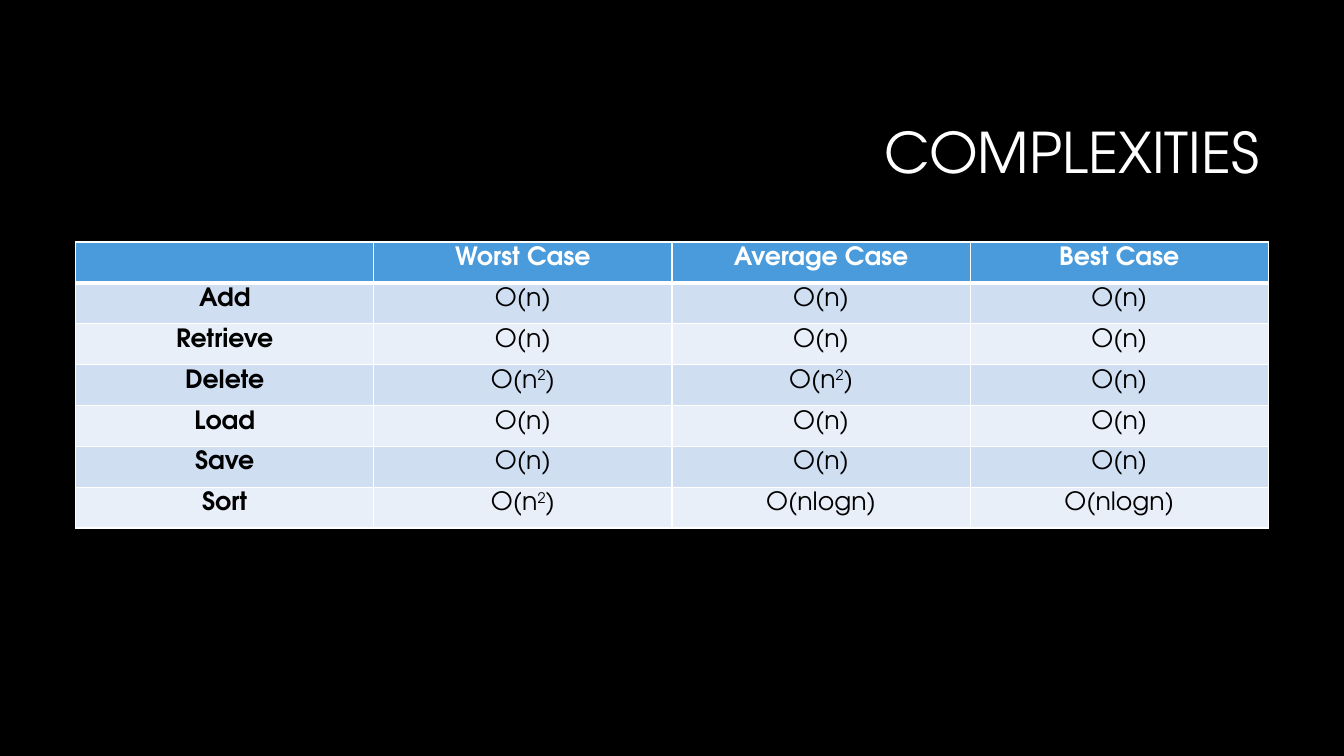
from dataclasses import dataclass

from lxml.etree import SubElement as add_element
from pptx import Presentation
from pptx.dml.color import RGBColor as Color
from pptx.enum.text import MSO_ANCHOR as Anchor, PP_ALIGN as Align
from pptx.oxml.ns import qn
from pptx.util import Inches, Pt


@dataclass(frozen=True)
class Theme:
    font: str = "TeX Gyre Adventor"
    background: str = "000000"
    light_text: str = "FFFFFF"
    dark_text: str = "000000"
    border: str = "FFFFFF"
    header_fill: str = "4A9BDC"
    band_fills: tuple[str, str] = ("D0DEF2", "E9EFF9")
    title_size: int = 40
    table_size: int = 18
    thin_border: int = 1
    thick_border: int = 3


@dataclass(frozen=True)
class Bound:
    base: str
    power: str = ""


@dataclass(frozen=True)
class Operation:
    name: str
    worst: Bound
    average: Bound
    best: Bound


THEME = Theme()
LINEAR = Bound("n")
QUADRATIC = Bound("n", "2")
LOG_LINEAR = Bound("nlogn")
HEADINGS = ("", "Worst Case", "Average Case", "Best Case")
OPERATIONS = (
    Operation("Add", LINEAR, LINEAR, LINEAR),
    Operation("Retrieve", LINEAR, LINEAR, LINEAR),
    Operation("Delete", QUADRATIC, QUADRATIC, LINEAR),
    Operation("Load", LINEAR, LINEAR, LINEAR),
    Operation("Save", LINEAR, LINEAR, LINEAR),
    Operation("Sort", QUADRATIC, LOG_LINEAR, LOG_LINEAR),
)


def add_span(para, text: str, size: int, color: str, bold: bool = False):
    span = para.add_run()
    span.text = text
    formats = {"name": THEME.font, "size": Pt(size), "bold": bold}
    for name, value in formats.items():
        setattr(span.font, name, value)
    span.font.color.rgb = Color.from_string(color)
    return span


def add_title(page, text: str) -> None:
    box = page.shapes.title
    place = {"left": 3.17, "top": 0.84, "width": 9.42, "height": 1.41}
    for name, value in place.items():
        setattr(box, name, Inches(value))
    box.text_frame.vertical_anchor = Anchor.MIDDLE
    para = box.text_frame.paragraphs[0]
    for name, value in {"alignment": Align.RIGHT, "line_spacing": 0.9}.items():
        setattr(para, name, value)
    add_span(para, text, THEME.title_size, THEME.light_text)


def add_borders(cell, top: int, bottom: int) -> None:
    properties = cell._tc.get_or_add_tcPr()
    widths = {"L": THEME.thin_border, "R": THEME.thin_border, "T": top, "B": bottom}
    for side, width in widths.items():
        line = add_element(properties, qn(f"a:ln{side}"), w=str(Pt(width)))
        fill = add_element(line, qn("a:solidFill"))
        add_element(fill, qn("a:srgbClr"), val=THEME.border)


def format_cell(cell, fill: str):
    cell.fill.solid()
    cell.fill.fore_color.rgb = Color.from_string(fill)
    para = cell.text_frame.paragraphs[0]
    para.alignment = Align.CENTER
    return para


def write_label(cell, text: str, fill: str, color: str) -> None:
    para = format_cell(cell, fill)
    if text:
        add_span(para, text, THEME.table_size, color, bold=True)


def write_bound(cell, bound: Bound, fill: str) -> None:
    para = format_cell(cell, fill)
    if not bound.power:
        add_span(para, f"O({bound.base})", THEME.table_size, THEME.dark_text)
        return
    for text in (f"O({bound.base}", bound.power, ")"):
        span = add_span(para, text, THEME.table_size, THEME.dark_text)
        if text == bound.power:
            span.font._element.set("baseline", "30000")


def add_complexity_table(page) -> None:
    table = page.shapes.add_table(
        len(OPERATIONS) + 1, len(HEADINGS),
        Inches(0.75), Inches(2.4), Inches(11.83), Inches(2.84),
    ).table
    for row, line in enumerate(table.rows):
        top = THEME.thick_border if row == 1 else THEME.thin_border
        bottom = THEME.thick_border if row == 0 else THEME.thin_border
        for cell in line.cells:
            add_borders(cell, top, bottom)
    for column, heading in enumerate(HEADINGS):
        write_label(table.cell(0, column), heading, THEME.header_fill, THEME.light_text)
    for row, operation in enumerate(OPERATIONS, start=1):
        fill = THEME.band_fills[(row - 1) % 2]
        write_label(table.cell(row, 0), operation.name, fill, THEME.dark_text)
        bounds = (operation.worst, operation.average, operation.best)
        for column, bound in enumerate(bounds, start=1):
            write_bound(table.cell(row, column), bound, fill)


def main() -> None:
    deck = Presentation()
    deck.slide_width, deck.slide_height = Inches(13.33), Inches(7.5)
    page = deck.slides.add_slide(deck.slide_layouts.get_by_name("Title Only"))
    page.background.fill.solid()
    page.background.fill.fore_color.rgb = Color.from_string(THEME.background)
    add_title(page, "COMPLEXITIES")
    add_complexity_table(page)
    deck.save("out.pptx")


if __name__ == "__main__":
    main()
